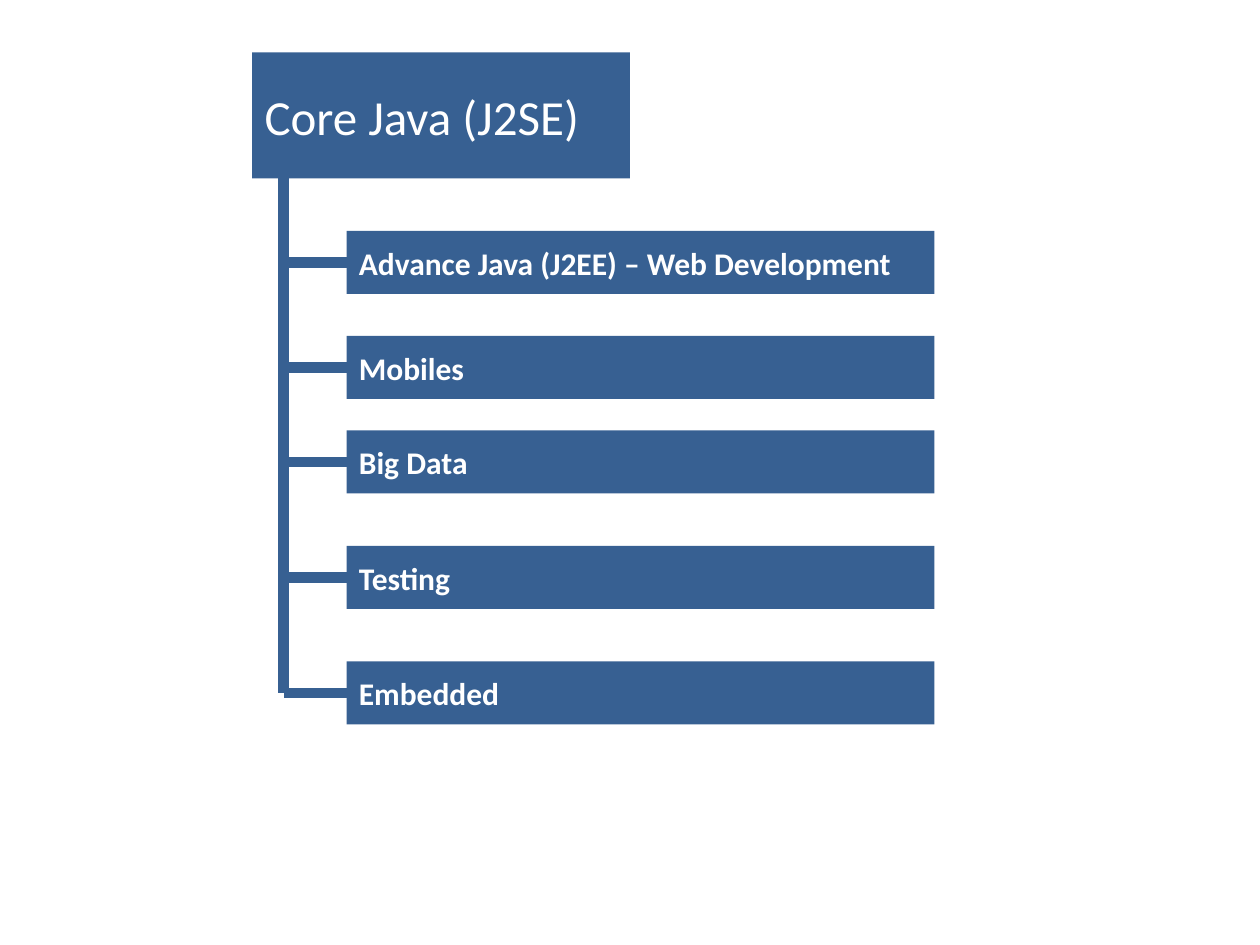
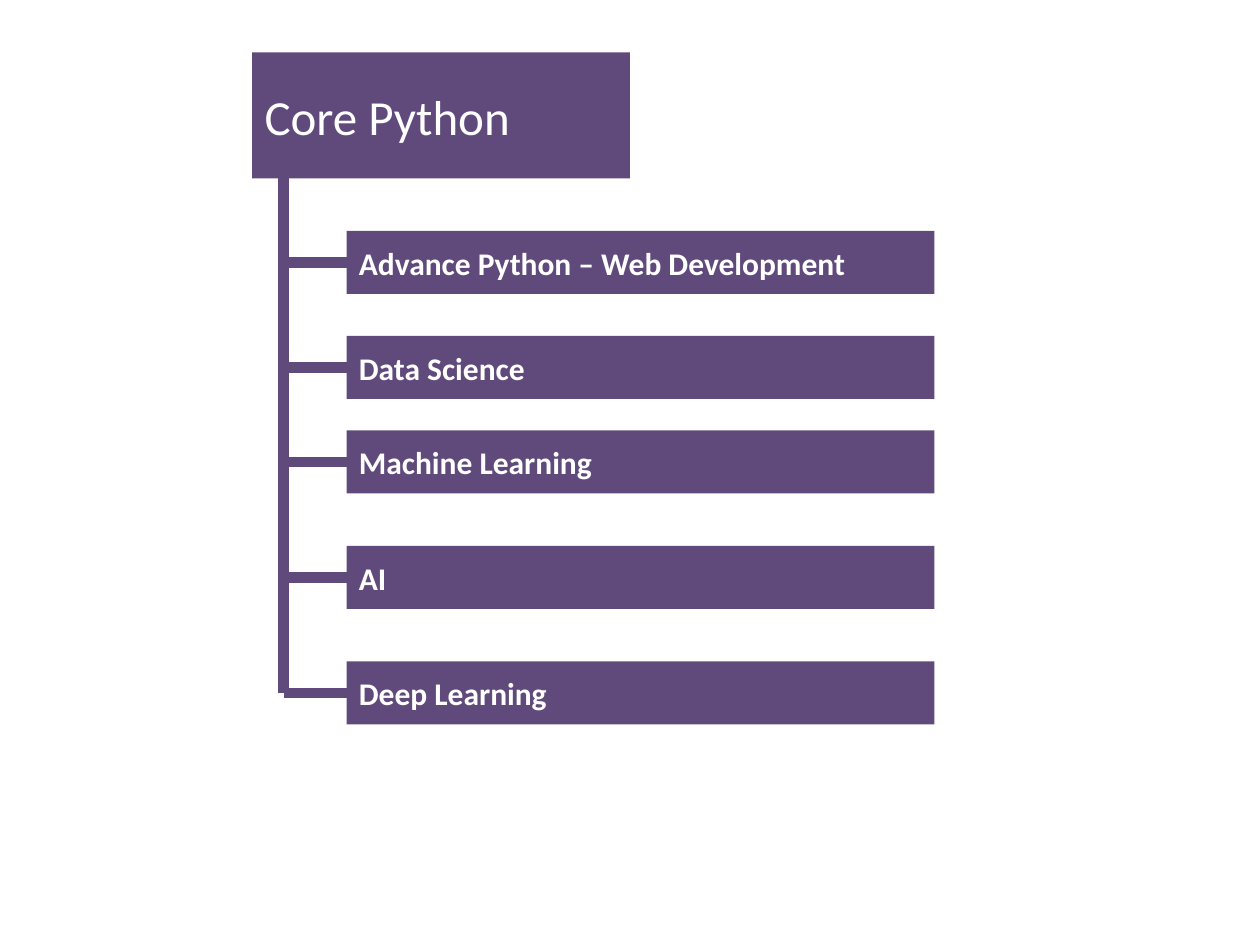
from pptx import Presentation
from pptx.dml.color import RGBColor
from pptx.enum.shapes import MSO_CONNECTOR, MSO_SHAPE
from pptx.enum.text import MSO_ANCHOR, MSO_AUTO_SIZE, PP_ALIGN
from pptx.oxml.ns import qn
from pptx.util import Pt
from lxml import etree

RECTANGLE = MSO_SHAPE.RECTANGLE
STRAIGHT = MSO_CONNECTOR.STRAIGHT
MIDDLE = MSO_ANCHOR.MIDDLE
LEFT = PP_ALIGN.LEFT
NO_AUTOFIT = MSO_AUTO_SIZE.NONE

WHITE = RGBColor(0xFF, 0xFF, 0xFF)
BLUE = RGBColor(0x37, 0x60, 0x92)
PURPLE = RGBColor(0x60, 0x4A, 0x7B)

# Shared layout, in points
FONT = "Calibri"
TITLE_LEFT, TITLE_TOP, TITLE_WIDTH, TITLE_HEIGHT = 144, 30, 216, 72
TRUNK_X = 162
BAR_LEFT, BAR_WIDTH, BAR_HEIGHT = 198, 336, 36
BAR_TOPS = (132, 192, 246, 312, 378)
LINE_WIDTH = 6

# Title, colour and branches of each slide
TREES = [
    ("Core Java (J2SE)", BLUE,
     ["Advance Java (J2EE) – Web Development", "Mobiles", "Big Data",
      "Testing", "Embedded"]),
    ("Core Python", PURPLE,
     ["Advance Python – Web Development", "Data Science",
      "Machine Learning", "AI", "Deep Learning"]),
]


def write_text(shape, text, size, bold=False, color=WHITE):
    frame = shape.text_frame
    frame.word_wrap = True
    frame.auto_size = NO_AUTOFIT
    frame.vertical_anchor = MIDDLE
    para = frame.paragraphs[0]
    para.alignment = LEFT
    span = para.add_run()
    span.text = text
    span.font.name = FONT
    span.font.size = Pt(size)
    span.font.bold = bold
    span.font.color.rgb = color


class TreeSlide:
    """One slide with a title box and branches in a single colour."""

    def __init__(self, deck, color):
        self.page = deck.slides.add_slide(deck.slide_layouts[5])
        self.color = color

    def fill(self, shape):
        shape.fill.solid()
        shape.fill.fore_color.rgb = self.color
        shape.line.fill.background()

    def title(self, text):
        box = self.page.shapes.title
        box.left, box.top = Pt(TITLE_LEFT), Pt(TITLE_TOP)
        box.width, box.height = Pt(TITLE_WIDTH), Pt(TITLE_HEIGHT)
        self.fill(box)
        write_text(box, text, size=28)

    def line(self, x1, y1, x2, y2):
        line = self.page.shapes.add_connector(
            STRAIGHT, Pt(x1), Pt(y1), Pt(x2), Pt(y2))
        line.line.color.rgb = self.color
        line.line.width = Pt(LINE_WIDTH)
        etree.SubElement(line._element.spPr, qn("a:effectLst"))

    def bar(self, text, top):
        box = self.page.shapes.add_shape(
            RECTANGLE, Pt(BAR_LEFT), Pt(top), Pt(BAR_WIDTH), Pt(BAR_HEIGHT))
        box.shadow.inherit = False
        self.fill(box)
        write_text(box, text, size=18, bold=True)

    def branch(self, text, top):
        middle = top + BAR_HEIGHT / 2
        self.line(TRUNK_X, middle, BAR_LEFT, middle)
        self.bar(text, top)


deck = Presentation()
deck.slide_width, deck.slide_height = Pt(720), Pt(540)

for title, color, branches in TREES:
    tree = TreeSlide(deck, color)
    tree.title(title)
    # Trunk from the title down to the last branch
    tree.line(TRUNK_X, TITLE_TOP + TITLE_HEIGHT,
              TRUNK_X, BAR_TOPS[-1] + BAR_HEIGHT / 2)
    for text, top in zip(branches, BAR_TOPS):
        tree.branch(text, top)

deck.save("out.pptx")
